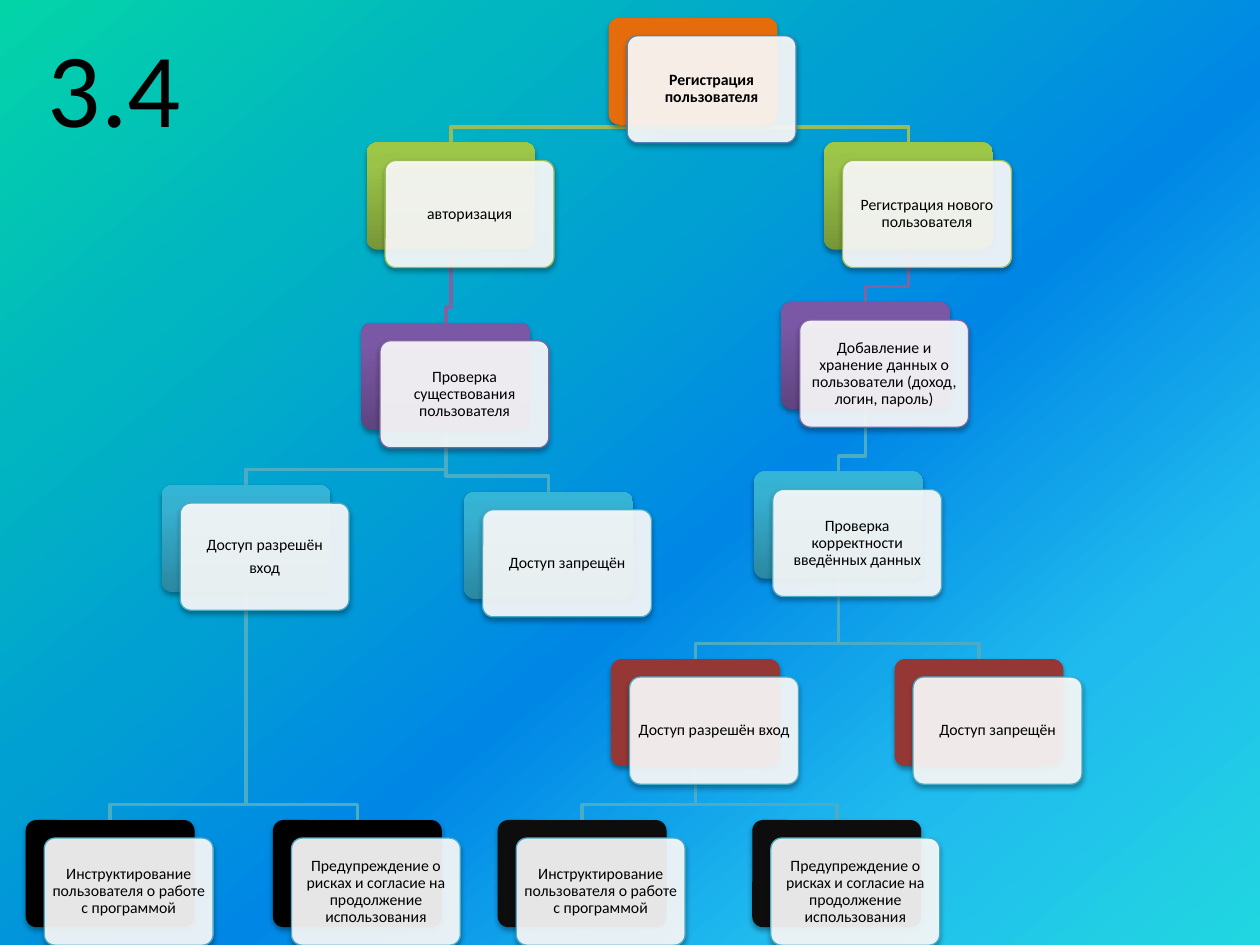
from dataclasses import dataclass

from lxml import etree
from pptx import Presentation
from pptx.dml.color import RGBColor
from pptx.enum.shapes import MSO_SHAPE
from pptx.enum.text import MSO_ANCHOR, MSO_AUTO_SIZE, PP_ALIGN
from pptx.oxml.ns import qn
from pptx.util import Pt

ROUNDED = MSO_SHAPE.ROUNDED_RECTANGLE
LEFT, CENTER = PP_ALIGN.LEFT, PP_ALIGN.CENTER
TOP, MIDDLE = MSO_ANCHOR.TOP, MSO_ANCHOR.MIDDLE
GROW = MSO_AUTO_SIZE.SHAPE_TO_FIT_TEXT
TITLE_ONLY = 5

FONT = "Calibri"
CARD_W, CARD_H = 96.5, 61.2
SHIFT_X, SHIFT_Y = 10.6, 10.3   # front panel against its backing
ELBOW_GAP = 8.9                 # horizontal run of a link above the child

COLORS = {
    "text": "000000", "panel": "FFFFFF", "shadow": "000000",
    "blue": "4F81BD", "green": "9BBB59", "purple": "8064A2", "aqua": "4BACC6",
    "orange": "E46C0A", "red": "953735", "black": "000000", "soft black": "0D0D0D",
}
BACKGROUND = [(0, "03D4A8"), (22, "01B6C0"), (39, "01A0D2"),
              (57, "0087E6"), (79, "20BBEE"), (100, "21D6E0")]
GRADIENTS = {
    "green": [(0, "779737"), (80, "9BC348"), (100, "9DC746")],
    "purple": [(0, "5F4480"), (80, "7B58A6"), (100, "7C57A8")],
    "aqua": [(0, "2A88A2"), (80, "37B1D2"), (100, "34B4D6")],
}


@dataclass
class Step:
    parent: str
    left: float
    top: float
    backing: str
    outline: str
    text: str


INSTRUCTION = "Инструктирование пользователя о работе с программой"
WARNING = "Предупреждение о рисках и согласие на продолжение использования"
STEPS = {
    "start": Step("", 347.8, 10.1, "orange", "blue", "Регистрация пользователя"),
    # Sign-in branch
    "login": Step("start", 209.5, 81.4, "green", "green", "авторизация"),
    "lookup": Step("login", 206.6, 184.4, "purple", "purple",
                   "Проверка существования пользователя"),
    "login ok": Step("lookup", 92.4, 277.2, "aqua", "aqua", "Доступ разрешён\nвход"),
    "login guide": Step("login ok", 14.7, 468.6, "black", "aqua", INSTRUCTION),
    "login risks": Step("login ok", 156, 468.6, "black", "aqua", WARNING),
    "login denied": Step("lookup", 265.2, 281, "aqua", "aqua", "Доступ запрещён"),
    # New user branch
    "signup": Step("start", 470.9, 81.4, "green", "green",
                   "Регистрация нового пользователя"),
    "storage": Step("signup", 446.4, 172.6, "purple", "purple",
                    "Добавление и хранение данных о пользователи (доход, логин, пароль)"),
    "validation": Step("storage", 431, 269.4, "aqua", "aqua",
                       "Проверка корректности введённых данных"),
    "signup ok": Step("validation", 349.2, 376.6, "red", "aqua", "Доступ разрешён вход"),
    "signup guide": Step("signup ok", 284.4, 468.6, "soft black", "aqua", INSTRUCTION),
    "signup risks": Step("signup ok", 429.9, 468.6, "soft black", "aqua", WARNING),
    "signup denied": Step("validation", 511.2, 376.6, "red", "aqua", "Доступ запрещён"),
}


def rgb(name):
    return RGBColor.from_string(COLORS[name])


def add_color(parent, value, alpha=None):
    color = etree.SubElement(parent, qn("a:srgbClr"), val=value)
    if alpha is not None:
        etree.SubElement(color, qn("a:alpha"), val=str(alpha * 1000))


def fill_gradient(fill, owner, stops, angle):
    fill.gradient()
    gradient = next(owner.iter(qn("a:gradFill")))
    stop_list = gradient.find(qn("a:gsLst"))
    for old_stop in list(stop_list):
        stop_list.remove(old_stop)
    for position, value in stops:
        add_color(etree.SubElement(stop_list, qn("a:gs"), pos=str(position * 1000)), value)
    gradient.find(qn("a:lin")).set("ang", str(angle * 60000))


class FlowSlide:
    def __init__(self, deck):
        self.slide = deck.slides.add_slide(deck.slide_layouts[TITLE_ONLY])
        self.shapes = self.slide.shapes

    def background(self, stops, angle):
        fill_gradient(self.slide.background.fill, self.slide.element, stops, angle)

    def title(self, text, left, top, width, height):
        title = self.shapes.title
        title.left, title.top, title.width, title.height = map(Pt, (left, top, width, height))
        frame = title.text_frame
        frame.text = text
        frame.word_wrap, frame.auto_size, frame.vertical_anchor = True, GROW, TOP
        heading = frame.paragraphs[0]
        heading.alignment = LEFT
        heading.line_spacing = 1.0
        heading.font.name, heading.font.size = FONT, Pt(60)
        heading.font.color.rgb = rgb("text")

    def link(self, parent, child):
        start_x, end_x = parent.left + CARD_W / 2, child.left + CARD_W / 2
        elbow = child.top - ELBOW_GAP
        route = [(start_x, elbow), (end_x, elbow), (end_x, child.top)]
        builder = self.shapes.build_freeform(Pt(start_x), Pt(parent.top + CARD_H))
        builder.add_line_segments([(Pt(x), Pt(y)) for x, y in route], close=False)
        line = builder.convert_to_shape()
        line.shadow.inherit = False
        line.fill.background()
        line.line.color.rgb = rgb(child.outline)
        line.line.width = Pt(2)

    def panel(self, left, top):
        panel = self.shapes.add_shape(ROUNDED, Pt(left), Pt(top), Pt(CARD_W), Pt(CARD_H))
        panel.adjustments[0] = 0.1
        panel.shadow.inherit = False
        effects = panel.element.spPr.find(qn("a:effectLst"))
        shadow = etree.SubElement(effects, qn("a:outerShdw"), blurRad=str(Pt(3.1)),
                                  dist=str(Pt(1.8)), dir="5400000", rotWithShape="0")
        add_color(shadow, COLORS["shadow"], 35)
        return panel

    def card(self, step, bold):
        # Coloured backing
        backing = self.panel(step.left, step.top)
        backing.line.fill.background()
        if step.backing in GRADIENTS:
            fill_gradient(backing.fill, backing.element, GRADIENTS[step.backing], 270)
        else:
            backing.fill.solid()
            backing.fill.fore_color.rgb = rgb(step.backing)
        # Translucent front with the label
        front = self.panel(step.left + SHIFT_X, step.top + SHIFT_Y)
        front.fill.solid()
        front.fill.fore_color.rgb = rgb("panel")
        color = front.element.spPr.find(qn("a:solidFill")).find(qn("a:srgbClr"))
        etree.SubElement(color, qn("a:alpha"), val="90000")
        front.line.color.rgb = rgb(step.outline)
        front.line.width = Pt(0.75)
        frame = front.text_frame
        frame.word_wrap, frame.vertical_anchor = True, MIDDLE
        frame.margin_left = frame.margin_right = Pt(2.9)
        frame.margin_top = frame.margin_bottom = Pt(2.9)
        frame.text = step.text
        for label in frame.paragraphs:
            label.alignment = CENTER
            label.line_spacing, label.space_after = 0.9, Pt(3.15)
            label.font.name, label.font.size, label.font.bold = FONT, Pt(9), bold
            label.font.color.rgb = rgb("text")


def main():
    deck = Presentation()
    deck.slide_width, deck.slide_height = Pt(720), Pt(540)
    flow = FlowSlide(deck)
    flow.background(BACKGROUND, 50)
    flow.title("3.4", 20.2, 9.4, 108, 80)
    # Links lie behind all cards
    for step in STEPS.values():
        if step.parent:
            flow.link(STEPS[step.parent], step)
    for step in STEPS.values():
        flow.card(step, bold=not step.parent)
    deck.save("out.pptx")


if __name__ == "__main__":
    main()
